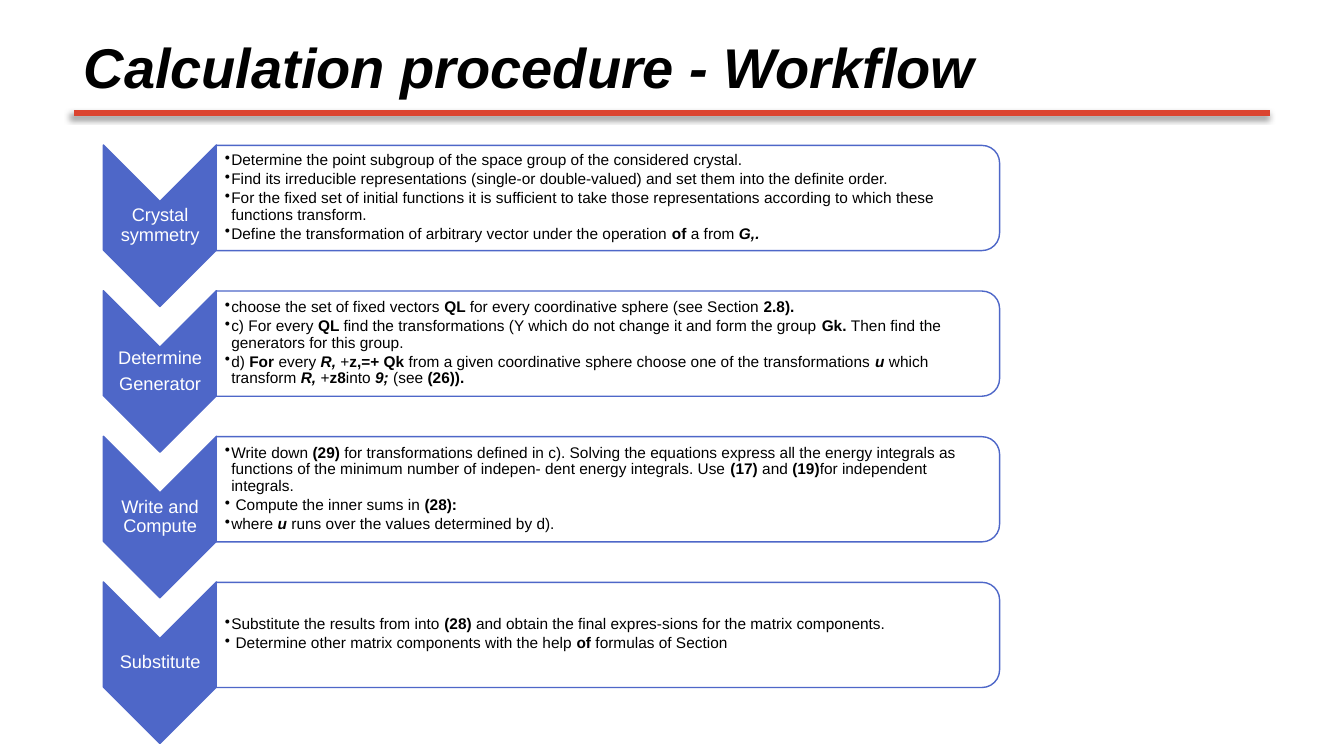
"""Build the calculation workflow slide: four chevron steps with detail panels."""
from lxml import etree
from pptx import Presentation
from pptx.dml.color import RGBColor
from pptx.enum import shapes, text
from pptx.oxml import ns
from pptx.util import Cm, Pt

BLUE = RGBColor(0x4E, 0x67, 0xC8)
RED = RGBColor(0xDB, 0x44, 0x30)
WHITE = RGBColor(0xFF, 0xFF, 0xFF)
BLACK = RGBColor(0x00, 0x00, 0x00)
FONT = "Arial"
STEP_PITCH = 3.67

STEPS = [
    (["Crystal symmetry"], [
        "Determine the point subgroup of the space group of the considered crystal.",
        "Find its irreducible representations (single-or double-valued) and set them into the definite order.",
        "For the fixed set of initial functions it is sufficient to take those representations "
        "according to which these functions transform.",
        "Define the transformation of arbitrary vector under the operation *of *a from *_G,.*",
    ]),
    (["Determine", "Generator"], [
        "choose the set of fixed vectors *QL *for every coordinative sphere (see Section *2.8).*",
        "c) For every *QL *find the transformations (Y which do not change it and form the group "
        "*Gk. *Then find the generators for this group.",
        "d) *For *every *_R, *+*z,=+ Qk *from a given coordinative sphere choose one of the "
        "transformations *_u *which transform *_R, *+*z8*into *_9; *(see *(26)).*",
    ]),
    (["Write and Compute"], [
        "Write down *(29) *for transformations defined in c). Solving the equations express all the "
        "energy integrals as functions of the minimum number of indepen- dent energy integrals. "
        "Use *(17) *and *(19)*for independent integrals.",
        " Compute the inner sums in *(28):*",
        "where *_u *runs over the values determined by d).",
    ]),
    (["Substitute"], [
        "Substitute the results from into *(28) *and obtain the final expres-sions for the matrix components.",
        " Determine other matrix components with the help *of *formulas of Section",
    ]),
]


def add_runs(paragraph, marked):
    """Write text whose *starred* parts are bold, and *_these* bold italic."""
    for index, part in enumerate(marked.split("*")):
        if part:
            run = paragraph.add_run()
            run.text = part.removeprefix("_")
            if index % 2:
                run.font.bold = True
                run.font.italic = part.startswith("_") or None


def add_bullet(paragraph):
    """Give a paragraph a round bullet with a small hanging indent."""
    properties = paragraph._p.get_or_add_pPr()
    properties.set("marL", str(Cm(0.16)))
    properties.set("indent", str(-Cm(0.16)))
    etree.SubElement(properties, ns.qn("a:buChar")).set("char", "•")


def add_text(slide, box, lines, size, color, gap=0, align=None, bulleted=False,
             anchor=text.MSO_ANCHOR.MIDDLE, insets=(0.03, 0.03)):
    """Add a wrapped text box with one paragraph per line and return its paragraphs."""
    frame = slide.shapes.add_textbox(*map(Cm, box)).text_frame
    frame.word_wrap = True
    frame.vertical_anchor = anchor
    frame.margin_left, frame.margin_right = map(Cm, insets)
    frame.margin_top = frame.margin_bottom = Cm(0.03)
    for index, line in enumerate(lines):
        paragraph = frame.add_paragraph() if index else frame.paragraphs[0]
        paragraph.alignment = align
        paragraph.line_spacing = 0.9
        paragraph.space_after = Pt(gap)
        paragraph.font.name = FONT
        paragraph.font.size = Pt(size)
        paragraph.font.color.rgb = color
        if bulleted:
            add_bullet(paragraph)
        add_runs(paragraph, line)
    return frame.paragraphs


def add_turned_shape(slide, preset, center, size, fill):
    """Add a blue-lined preset shape turned a quarter clockwise about its centre."""
    (x, y), (width, height) = center, size
    turned = slide.shapes.add_shape(
        preset, Cm(x - width / 2), Cm(y - height / 2), Cm(width), Cm(height))
    turned.rotation = 90
    turned.shadow.inherit = False
    turned.fill.solid()
    turned.fill.fore_color.rgb = fill
    turned.line.color.rgb = BLUE
    turned.line.width = Pt(1)
    return turned


def add_heading(slide, title):
    """Add the slide title and the shadowed red rule under it."""
    rule = slide.shapes.add_connector(
        shapes.MSO_CONNECTOR.STRAIGHT, Cm(1.86), Cm(2.85), Cm(32), Cm(2.85))
    rule.line.color.rgb = RED
    rule.line.width = Pt(4.75)
    effects = etree.SubElement(rule._element.spPr, ns.qn("a:effectLst"))
    shadow = etree.SubElement(effects, ns.qn("a:outerShdw"), blurRad=str(Pt(4)),
                              dist=str(Pt(3)), dir=str(135 * 60000), rotWithShape="0")
    shade = etree.SubElement(shadow, ns.qn("a:srgbClr"), val=str(BLACK))
    etree.SubElement(shade, ns.qn("a:alpha"), val="40000")
    heading, = add_text(slide, (1.86, 0.69, 30.15, 1.88), [title], 40, BLACK,
                        anchor=text.MSO_ANCHOR.BOTTOM, insets=(0.25, 0.25))
    heading.font.bold = heading.font.italic = True


def add_step(slide, offset, label, details):
    """Add one workflow step: chevron, label, panel and bulleted details."""
    add_turned_shape(slide, shapes.MSO_SHAPE.CHEVRON, (4.03, 5.69 + offset), (4.07, 2.85), BLUE)
    add_text(slide, (2.61, 5.08 + offset, 2.85, 1.22), label, 13, WHITE,
             gap=4.55, align=text.PP_ALIGN.CENTER)
    panel = add_turned_shape(slide, shapes.MSO_SHAPE.ROUND_2_SAME_RECTANGLE,
                             (15.32, 4.99 + offset), (2.65, 19.74), WHITE)
    tint = panel._element.spPr.find(ns.qn("a:solidFill"))[0]
    etree.SubElement(tint, ns.qn("a:alpha"), val="90000")
    add_text(slide, (5.45, 3.78 + offset, 19.61, 2.39), details, 11, BLACK,
             gap=1.65, bulleted=True, insets=(0.22, 0.03))


def main():
    """Create the presentation and save it."""
    deck = Presentation()
    deck.slide_width, deck.slide_height = Cm(33.87), Cm(19.05)
    slide = deck.slides.add_slide(deck.slide_layouts[6])
    add_heading(slide, "Calculation procedure - Workflow")
    for index, (label, details) in enumerate(STEPS):
        add_step(slide, index * STEP_PITCH, label, details)
    deck.save("out.pptx")


if __name__ == "__main__":
    main()
